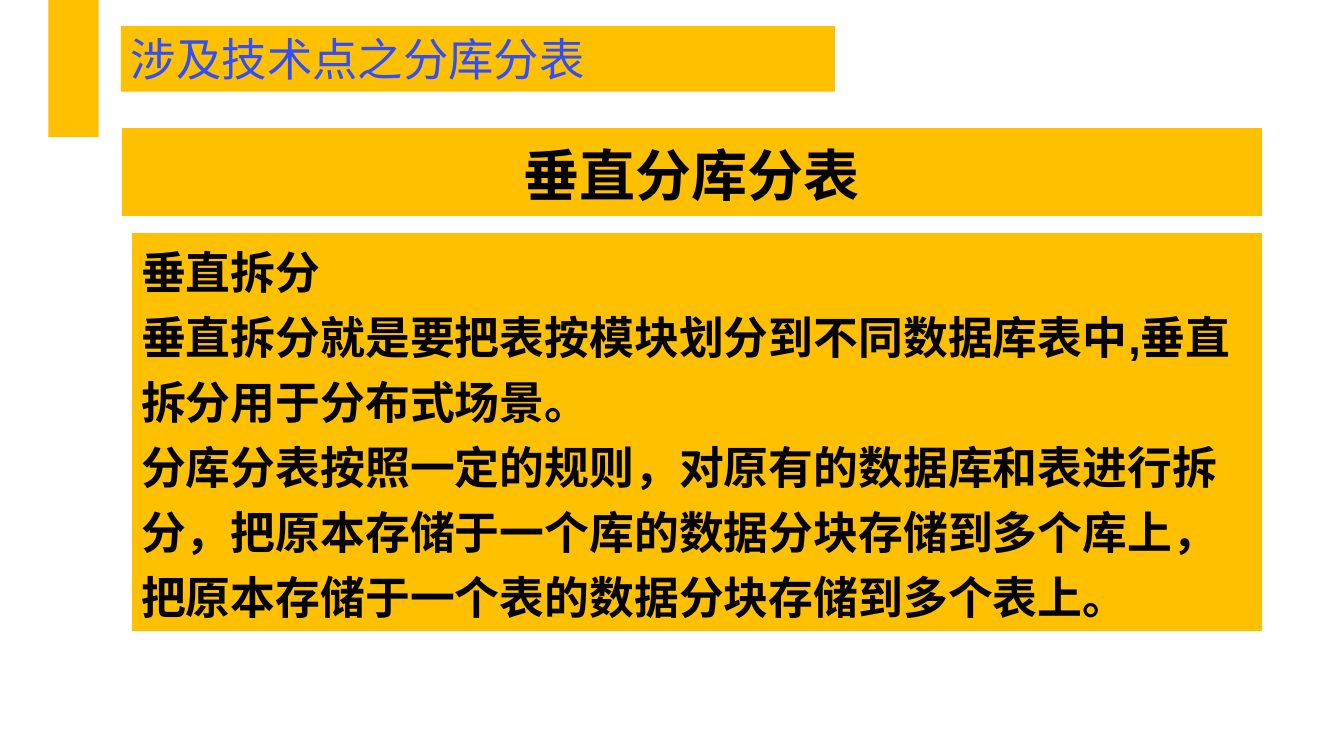
from lxml import etree
from pptx import Presentation
from pptx.dml.color import RGBColor
from pptx.enum.shapes import MSO_SHAPE
from pptx.enum.text import MSO_ANCHOR, PP_ALIGN
from pptx.oxml.ns import qn
from pptx.util import Inches, Pt

RECT = MSO_SHAPE.RECTANGLE
TOP, BOTTOM = MSO_ANCHOR.TOP, MSO_ANCHOR.BOTTOM
LEFT, CENTER = PP_ALIGN.LEFT, PP_ALIGN.CENTER
GOLD = RGBColor(0xFF, 0xC0, 0x00)
BLUE = RGBColor(0x30, 0x4E, 0xFC)
BLACK = RGBColor(0, 0, 0)
WHITE = RGBColor(0xFF, 0xFF, 0xFF)
HAN = "Noto Sans CJK SC"
UNIT = Inches(0.1)
EDGE = 12
RIGHT = 125.2
EDGES = (("lnL", 1), ("lnT", 1), ("lnR", 1), ("lnB", 3))

HEAD = "涉及技术点之分库分表"
TOPIC = ["垂直分库分表"]
BODY = [
    "垂直拆分",
    "垂直拆分就是要把表按模块划分到不同数据库表中,垂直拆分用于分布式场景。",
    "分库分表按照一定的规则，对原有的数据库和表进行拆分，"
    "把原本存储于一个库的数据分块存储到多个库上，"
    "把原本存储于一个表的数据分块存储到多个表上。",
]


def scale(box):
    return [round(n * UNIT) for n in box]


def style(para, size, face, color, bold=False):
    for run in para.runs:
        font = run.font
        font.size = Pt(size)
        font.bold = bold
        font.color.rgb = color
        font.name = face
        etree.SubElement(font._element, qn("a:ea"), typeface=HAN)


def add_bar(slide, box):
    bar = slide.shapes.add_shape(RECT, *scale(box))
    bar.shadow.inherit = False
    bar.fill.solid()
    bar.fill.fore_color.rgb = GOLD
    bar.line.fill.background()
    return bar


def add_head(slide, box, text):
    frame = add_bar(slide, box).text_frame
    frame.word_wrap = True
    frame.vertical_anchor = BOTTOM
    frame.text = text
    para = frame.paragraphs[0]
    para.alignment = LEFT
    para.line_spacing = 0.9
    style(para, 32.4, HAN, BLUE)


def add_edges(cell):
    props = cell._tc.get_or_add_tcPr()
    for spot, (tag, width) in enumerate(EDGES):
        line = etree.Element(qn("a:" + tag), w=str(Pt(width)))
        fill = etree.SubElement(line, qn("a:solidFill"))
        etree.SubElement(fill, qn("a:srgbClr"), val=str(WHITE))
        props.insert(spot, line)


def add_panel(slide, box, lines, size, align):
    table = slide.shapes.add_table(1, 1, *scale(box)).table
    cell = table.cell(0, 0)
    cell.fill.solid()
    cell.fill.fore_color.rgb = GOLD
    add_edges(cell)
    cell.vertical_anchor = TOP
    cell.text_frame.text = "\n".join(lines)
    for para in cell.text_frame.paragraphs:
        para.alignment = align
        style(para, size, "Arial", BLACK, True)


def main():
    deck = Presentation()
    deck.slide_width, deck.slide_height = Inches(13.33), Inches(7.5)
    slide = deck.slides.add_slide(deck.slide_layouts[6])
    add_bar(slide, (4.8, 0, 5, 13.6))
    add_head(slide, (EDGE, 2.6, 70.8, 6.5), HEAD)
    inner = EDGE + 1
    add_panel(slide, (inner, 23.1, RIGHT - inner, 39), BODY, 32, LEFT)
    add_panel(slide, (EDGE, 12.6, RIGHT - EDGE, 9), TOPIC, 40, CENTER)
    deck.save("out.pptx")


if __name__ == "__main__":
    main()
